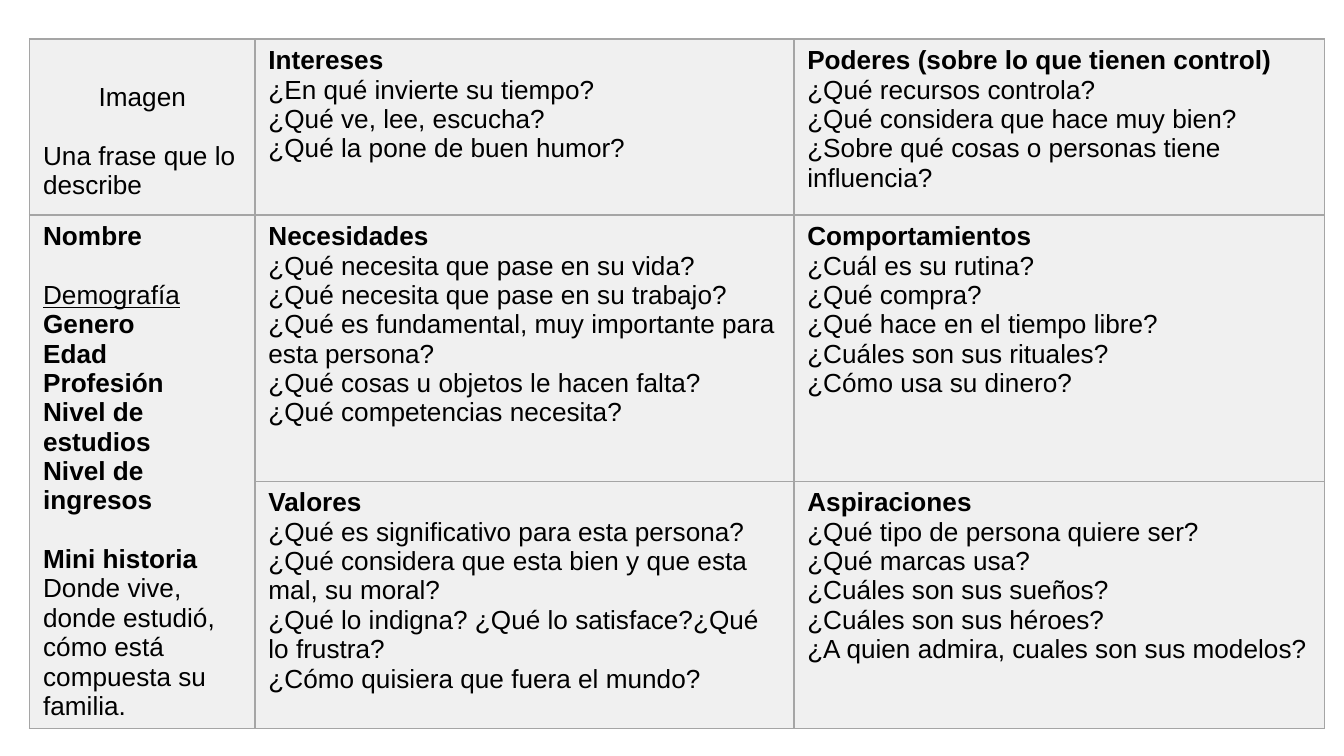
from lxml.etree import SubElement
from pptx import Presentation
from pptx.dml.color import RGBColor
from pptx.enum.text import MSO_ANCHOR, PP_ALIGN
from pptx.oxml.ns import qn
from pptx.util import Pt

FONT = "Arial"
TEXT_SIZE = 14
LINE_HEIGHT = 15.7
CELL_FILL = "F0F0F0"
BORDER = "A5A5A5"
COLUMN_WIDTHS = (120.7, 288.7, 284.4)
ROW_HEIGHTS = (94.3, 142.6, 132.4)

QUESTIONS = {
    (0, 1): ("Intereses", "¿En qué invierte su tiempo?", "¿Qué ve, lee, escucha?",
             "¿Qué la pone de buen humor?"),
    (0, 2): ("Poderes (sobre lo que tienen control)", "¿Qué recursos controla?",
             "¿Qué considera que hace muy bien?",
             "¿Sobre qué cosas o personas tiene influencia?"),
    (1, 1): ("Necesidades", "¿Qué necesita que pase en su vida?",
             "¿Qué necesita que pase en su trabajo?",
             "¿Qué es fundamental, muy importante para esta persona?",
             "¿Qué cosas u objetos le hacen falta?", "¿Qué competencias necesita?"),
    (1, 2): ("Comportamientos", "¿Cuál es su rutina?", "¿Qué compra?",
             "¿Qué hace en el tiempo libre?", "¿Cuáles son sus rituales?",
             "¿Cómo usa su dinero?"),
    (2, 1): ("Valores", "¿Qué es significativo para esta persona?",
             "¿Qué considera que esta bien y que esta mal, su moral?",
             "¿Qué lo indigna? ¿Qué lo satisface?¿Qué lo frustra?",
             "¿Cómo quisiera que fuera el mundo?"),
    (2, 2): ("Aspiraciones", "¿Qué tipo de persona quiere ser?", "¿Qué marcas usa?",
             "¿Cuáles son sus sueños?", "¿Cuáles son sus héroes?",
             "¿A quien admira, cuales son sus modelos?"),
}


def color(value):
    """Return the colour for a hex string."""
    return RGBColor.from_string(value)


def add_text(cell, text, bold=False, underline=False, align=PP_ALIGN.LEFT, before=0):
    """Add one formatted paragraph to a cell, using its empty first one if any."""
    frame = cell.text_frame
    paragraph = frame.add_paragraph() if frame.text else frame.paragraphs[0]
    paragraph.alignment = align
    paragraph.space_before = Pt(before)
    run = paragraph.add_run()
    run.text = text
    font = run.font
    font.name, font.size = FONT, Pt(TEXT_SIZE)
    font.bold, font.underline = bold, underline
    font.color.rgb = color("000000")


def format_cell(cell):
    """Give a cell its borders, fill and margins."""
    properties = cell._tc.get_or_add_tcPr()
    for side in ("a:lnL", "a:lnR", "a:lnT", "a:lnB"):
        line = SubElement(properties, qn(side), w=str(Pt(1)))
        fill = SubElement(line, qn("a:solidFill"))
        SubElement(fill, qn("a:srgbClr"), val=BORDER)
    cell.fill.solid()
    cell.fill.fore_color.rgb = color(CELL_FILL)
    cell.margin_left = cell.margin_right = Pt(7.2)
    cell.margin_top = cell.margin_bottom = Pt(3.6)


def fill_portrait(cell):
    """Write the portrait cell, centred vertically below one free line."""
    cell.vertical_anchor = MSO_ANCHOR.MIDDLE
    cell.margin_top = Pt(3.6 + LINE_HEIGHT)
    add_text(cell, "Imagen", align=PP_ALIGN.CENTER)
    add_text(cell, "Una frase que lo describe", before=LINE_HEIGHT)


def fill_profile(cell):
    """Write the name, demographic fields and short story."""
    add_text(cell, "Nombre", bold=True)
    add_text(cell, "Demografía", underline=True, before=LINE_HEIGHT)
    for field in ("Genero", "Edad", "Profesión", "Nivel de estudios", "Nivel de ingresos"):
        add_text(cell, field, bold=True)
    add_text(cell, "Mini historia", bold=True, before=LINE_HEIGHT)
    add_text(cell, "Donde vive, donde estudió, cómo está compuesta su familia.")


def add_persona_table(slide, left, top):
    """Place the persona table with its top left corner at the given point."""
    frame = slide.shapes.add_table(
        len(ROW_HEIGHTS), len(COLUMN_WIDTHS), Pt(left), Pt(top),
        Pt(sum(COLUMN_WIDTHS)), Pt(sum(ROW_HEIGHTS)))
    table = frame.table
    table.first_row = table.horz_banding = False
    for column, width in zip(table.columns, COLUMN_WIDTHS):
        column.width = Pt(width)
    for row, height in zip(table.rows, ROW_HEIGHTS):
        row.height = Pt(height)
    for cell in table.iter_cells():
        format_cell(cell)
    table.cell(1, 0).merge(table.cell(2, 0))
    fill_portrait(table.cell(0, 0))
    fill_profile(table.cell(1, 0))
    for (row, column), (heading, *questions) in QUESTIONS.items():
        cell = table.cell(row, column)
        add_text(cell, heading, bold=True)
        for question in questions:
            add_text(cell, question)


def main():
    """Build and save the presentation."""
    presentation = Presentation()
    presentation.slide_width, presentation.slide_height = Pt(720), Pt(405)
    slide = presentation.slides.add_slide(presentation.slide_layouts[6])
    add_persona_table(slide, 15.9, 21)
    presentation.save("out.pptx")


if __name__ == "__main__":
    main()
